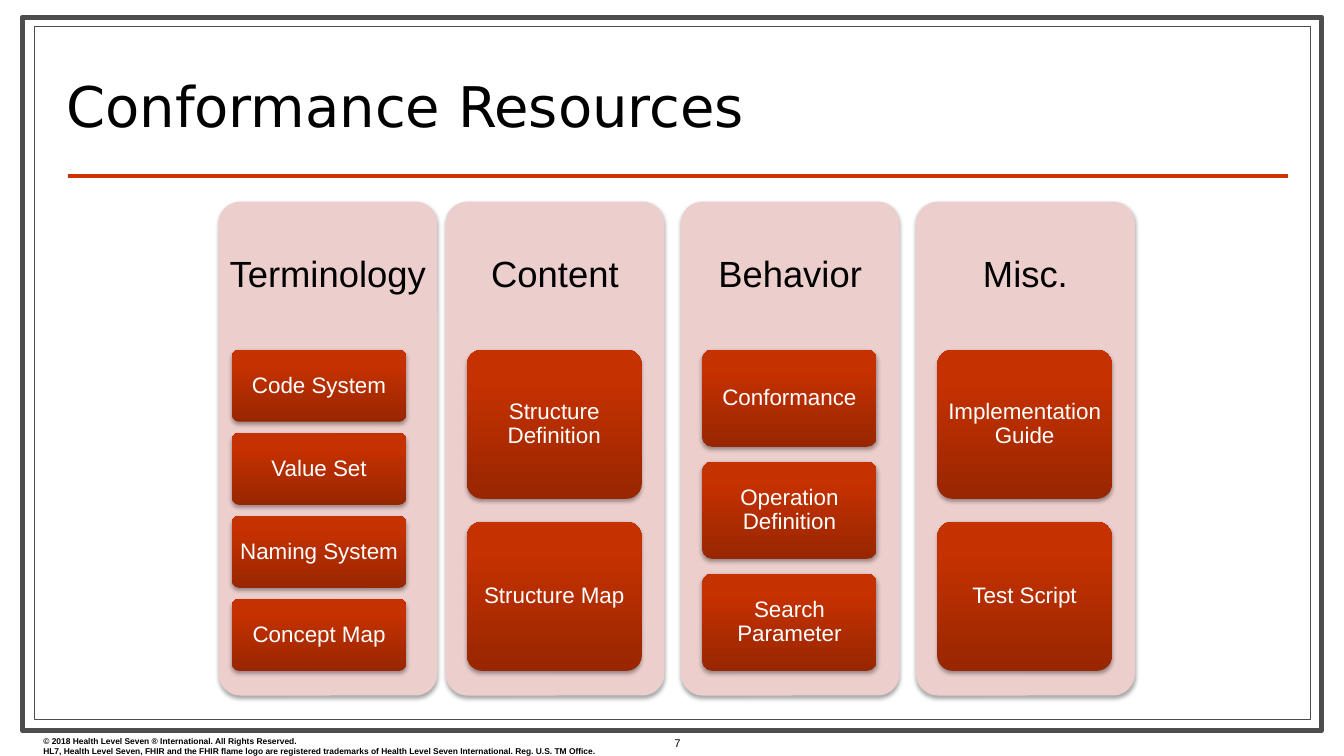
"""Build the Conformance Resources slide: four panels of stacked resource cards."""
from copy import deepcopy
from dataclasses import dataclass

from lxml import etree
from pptx import Presentation
from pptx import util as u
from pptx.dml.color import RGBColor
from pptx.enum import shapes, text
from pptx.oxml import parse_xml
from pptx.oxml.ns import nsdecls, qn


@dataclass(frozen=True)
class Theme:
    ink: str = "000000"
    paper: str = "FFFFFF"
    frame: str = "4D4D4D"
    rule: str = "CC3300"
    panel: str = "ECCECC"
    card: tuple = ((0, "982600"), (0.8, "C63100"), (1, "C73200"))
    body_font: str = "Arial"
    title_font: str = "DejaVu Sans"
    title_size: int = 40
    heading_size: int = 26
    card_size: int = 16
    number_size: int = 8
    footer_size: int = 6


theme = Theme()
deck = Presentation()
deck.slide_width, deck.slide_height = u.Inches(13.33), u.Inches(7.5)
page = deck.slides.add_slide(deck.slide_layouts[6])
SHADOW = (
    f'<a:outerShdw {nsdecls("a")} blurRad="39400" dist="22900" dir="5400000" rotWithShape="0">'
    '<a:srgbClr val="000000"><a:alpha val="35000"/></a:srgbClr></a:outerShdw>'
)


def place(left, top, width, height, kind=None):
    """Add a text box or preset shape placed in percent of the slide."""
    across, down = deck.slide_width / 100, deck.slide_height / 100
    area = [round(n) for n in (left * across, top * down, width * across, height * down)]
    if kind is None:
        return page.shapes.add_textbox(*area)
    shape = page.shapes.add_shape(kind, *area)
    shape.shadow.inherit = False
    if kind == shapes.MSO_SHAPE.ROUNDED_RECTANGLE:
        shape.adjustments[0] = 0.1
        shape.line.fill.background()
        shape.element.spPr.find(qn("a:effectLst")).append(parse_xml(SHADOW))
    return shape


def write(box, words, size, color=theme.ink, font=theme.body_font, bold=False,
          align=text.PP_ALIGN.CENTER, anchor=text.MSO_ANCHOR.MIDDLE, spacing=0.9, inset=(0.1, 0.05)):
    """Set and format the text of a box."""
    frame = box.text_frame
    frame.word_wrap = True
    frame.vertical_anchor = anchor
    frame.margin_left = frame.margin_right = u.Inches(inset[0])
    frame.margin_top = frame.margin_bottom = u.Inches(inset[1])
    frame.text = words
    for para in frame.paragraphs:
        para.alignment, para.line_spacing = align, spacing
        for span in para.runs:
            span.font.name, span.font.size, span.font.bold = font, u.Pt(size), bold
            span.font.color.rgb = RGBColor.from_string(color)


for area, weight in (((1.65, 2.27, 96.7, 94.4), 3.5), ((2.55, 3.47, 94.97, 91.73), 0.75)):
    border = place(*area, shapes.MSO_SHAPE.RECTANGLE)
    border.fill.solid()
    border.fill.fore_color.rgb = RGBColor.from_string(theme.paper)
    border.line.color.rgb = RGBColor.from_string(theme.frame)
    border.line.width = u.Pt(weight)

rule_y = round(deck.slide_height * 0.2333)
rule = page.shapes.add_connector(
    shapes.MSO_CONNECTOR.STRAIGHT,
    round(deck.slide_width * 0.0503), rule_y, round(deck.slide_width * 0.958), rule_y)
rule.line.color.rgb = RGBColor.from_string(theme.rule)
rule.line.width = u.Pt(3)
etree.SubElement(rule.element.spPr, qn("a:effectLst"))

write(place(2.48, 96.67, 48.31, 4),
      "© 2018 Health Level Seven ® International. All Rights Reserved.\n"
      "HL7, Health Level Seven, FHIR and the FHIR flame logo are registered trademarks of "
      "Health Level Seven International. Reg. U.S. TM Office.",
      theme.footer_size, bold=True, align=text.PP_ALIGN.LEFT,
      anchor=text.MSO_ANCHOR.TOP, spacing=1.0)
write(place(4.2, 6.93, 76.52, 12), "Conformance Resources", theme.title_size,
      font=theme.title_font, align=text.PP_ALIGN.LEFT,
      anchor=text.MSO_ANCHOR.BOTTOM, spacing=0.8)
write(place(47.49, 96.67, 5.85, 3.33), "7", theme.number_size, spacing=1.0)

resources = {
    "Terminology": ["Code System", "Value Set", "Naming System", "Concept Map"],
    "Content": ["Structure Definition", "Structure Map"],
    "Behavior": ["Conformance", "Operation Definition", "Search Parameter"],
    "Misc.": ["Implementation Guide", "Test Script"],
}
PITCH, PANEL_WIDTH, PANEL_TOP = 17.5, 16.28, 26.67
STACK_TOP, STACK_HEIGHT, GAP_RATIO = 46.27, 42.47, 2 / 13

for column, (heading, names) in enumerate(resources.items()):
    panel_left = 15.66 + column * PITCH + (0.6 if column == 0 else 0)
    panel = place(panel_left, PANEL_TOP, PANEL_WIDTH, 65.33, shapes.MSO_SHAPE.ROUNDED_RECTANGLE)
    panel.fill.solid()
    panel.fill.fore_color.rgb = RGBColor.from_string(theme.panel)
    write(place(panel_left, PANEL_TOP, PANEL_WIDTH, STACK_TOP - PANEL_TOP),
          heading, theme.heading_size, inset=(0.1, 0.1))

    card_height = STACK_HEIGHT / (len(names) + (len(names) - 1) * GAP_RATIO)
    for row, name in enumerate(names):
        card = place(17.25 + column * PITCH, STACK_TOP + row * card_height * (1 + GAP_RATIO),
                     12.98, card_height, shapes.MSO_SHAPE.ROUNDED_RECTANGLE)
        card.fill.gradient()
        card.fill.gradient_angle = 90
        stop_list = card.element.spPr.find(qn("a:gradFill")).find(qn("a:gsLst"))
        stop_list.append(deepcopy(stop_list[-1]))
        for stop, (position, color) in zip(card.fill.gradient_stops, theme.card):
            stop.position = position
            stop.color.rgb = RGBColor.from_string(color)
        write(card, name, theme.card_size, theme.paper, inset=(0.04, 0.03))

deck.save("out.pptx")
